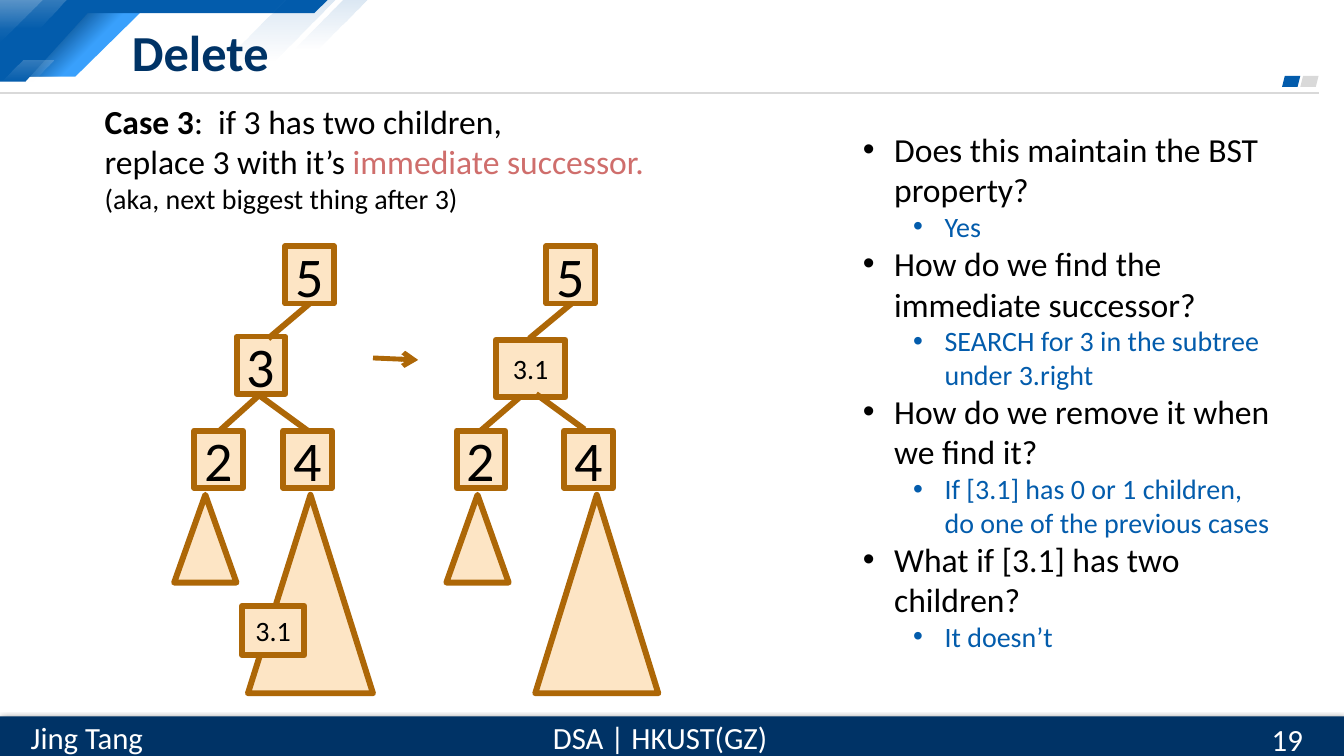
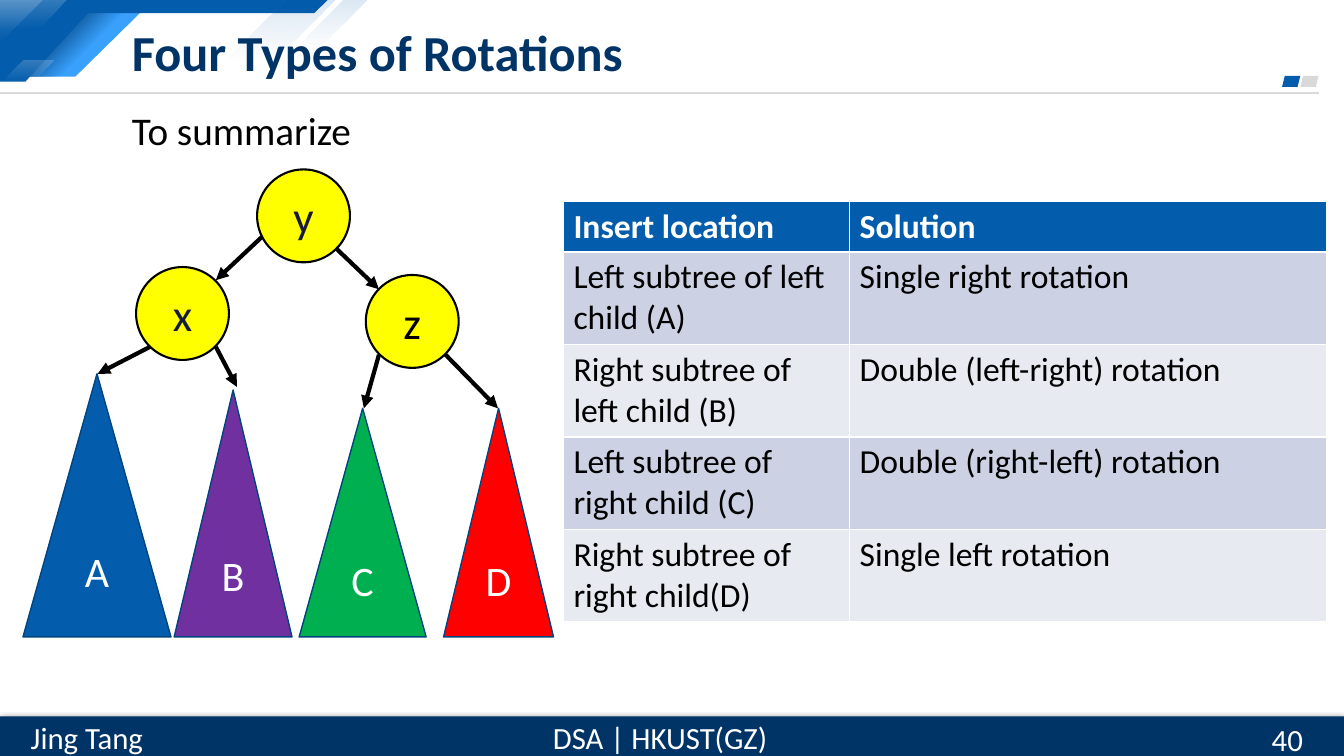
from lxml.etree import SubElement
from pptx import Presentation
from pptx.dml.color import RGBColor
from pptx.enum.shapes import MSO_CONNECTOR, MSO_SHAPE
from pptx.enum.text import MSO_ANCHOR, MSO_AUTO_SIZE, PP_ALIGN
from pptx.oxml.ns import qn
from pptx.util import Cm, Pt

FONT = "Calibri"
WHITE = RGBColor(0xFF, 0xFF, 0xFF)
BLACK = RGBColor(0x00, 0x00, 0x00)
NAVY = RGBColor(0x00, 0x33, 0x66)
BLUE = RGBColor(0x03, 0x5C, 0xAC)
DEEP_BLUE = RGBColor(0x02, 0x45, 0x81)
SKY = RGBColor(0x39, 0xA0, 0xFC)
GREY = RGBColor(0xD9, 0xD9, 0xD9)
ROSE = RGBColor(0xCF, 0x6E, 0x6C)
BROWN = RGBColor(0xAD, 0x67, 0x07)
PEACH = RGBColor(0xFD, 0xE5, 0xC5)
YELLOW = RGBColor(0xFF, 0xFF, 0x00)
INK = RGBColor(0x15, 0x19, 0x3C)
PURPLE = RGBColor(0x70, 0x30, 0xA0)
GREEN = RGBColor(0x00, 0xB0, 0x50)
RED = RGBColor(0xFF, 0x00, 0x00)
EDGE_BLUE = RGBColor(0x02, 0x44, 0x7F)
ROW_FILLS = (RGBColor(0xCC, 0xD2, 0xE3), RGBColor(0xE7, 0xEA, 0xF1))

SLIDE_W, SLIDE_H = 33.87, 19.05
NODE_W, NODE_H = 1.22, 1.45
SUBTREE_TOP = 12.47
CIRCLE = 2.34
BASELINE = 16.05


def set_font(target, size, color, bold=False):
    font = target.font
    font.name, font.size, font.bold = FONT, Pt(size), bold
    font.color.rgb = color


def add_shape(shapes, kind, box, fill, line=None, line_pt=1.0):
    sp = shapes.add_shape(kind, *map(Cm, box))
    paint(sp, fill, line, line_pt)
    return sp


def paint(sp, fill, line=None, line_pt=1.0):
    sp.shadow.inherit = False
    sp.fill.solid()
    sp.fill.fore_color.rgb = fill
    if line is None:
        sp.line.fill.background()
    else:
        sp.line.color.rgb = line
        sp.line.width = Pt(line_pt)


def set_label(sp, text, size, color):
    tf = sp.text_frame
    tf.vertical_anchor = MSO_ANCHOR.MIDDLE
    p = tf.paragraphs[0]
    p.text = text
    p.alignment = PP_ALIGN.CENTER
    set_font(p, size, color)


def add_polygon(shapes, points, fill):
    pts = [(Cm(x), Cm(y)) for x, y in points]
    builder = shapes.build_freeform(*pts[0], scale=1.0)
    builder.add_line_segments(pts[1:], close=True)
    sp = builder.convert_to_shape()
    paint(sp, fill)
    return sp


def fade(sp, color, alpha, angle=270, span=(0, 1)):
    """Fill with one colour that goes from alpha percent to clear."""
    sp.fill.gradient()
    sp.fill.gradient_angle = angle
    for stop, position in zip(sp.fill.gradient_stops, span):
        stop.color.rgb = color
        stop.position = position
    for clr, percent in zip(sp.element.xpath("./p:spPr//a:gs/a:srgbClr"), (alpha, 0)):
        SubElement(clr, qn("a:alpha"), val=str(percent * 1000))


def add_line(shapes, ends, color, width, head=None):
    x1, y1, x2, y2 = map(Cm, ends)
    line = shapes.add_connector(MSO_CONNECTOR.STRAIGHT, x1, y1, x2, y2)
    line.line.color.rgb = color
    line.line.width = Pt(width)
    if head:
        SubElement(line.element.xpath(".//a:ln")[0], qn("a:tailEnd"), type=head)
    SubElement(line.element.spPr, qn("a:effectLst"))


def add_text_box(shapes, box, anchor=MSO_ANCHOR.TOP):
    tf = shapes.add_textbox(*map(Cm, box)).text_frame
    tf.word_wrap = True
    tf.vertical_anchor = anchor
    return tf


def add_footer_text(shapes, box, text, align):
    p = add_text_box(shapes, box, MSO_ANCHOR.MIDDLE).paragraphs[0]
    p.text = text
    p.alignment = align
    set_font(p, 22, WHITE)


def set_bullet(p, char, left=0.0, hang=0.0):
    pPr = p._p.get_or_add_pPr()
    pPr.set("marL", str(Cm(left)))
    pPr.set("indent", str(Cm(-hang)))
    if char:
        SubElement(pPr, qn("a:buFont"), typeface="Arial")
        SubElement(pPr, qn("a:buChar"), char=char)
    else:
        SubElement(pPr, qn("a:buNone"))


def fill_body(slide, box, items):
    """Fill the body placeholder with (text, level, bullet, size, colour) items."""
    body = slide.placeholders[1]
    body.left, body.top, body.width, body.height = map(Cm, box)
    tf = body.text_frame
    tf.auto_size = MSO_AUTO_SIZE.NONE
    for i, (text, level, char, size, color) in enumerate(items):
        p = tf.add_paragraph() if i else tf.paragraphs[0]
        p.text = text
        p.level = level
        p.space_before = Pt(0)
        hang = 0.79 if char else 0
        set_bullet(p, char, hang + 1.27 * level, hang)
        set_font(p, size, color)


def draw_frame(shapes):
    add_polygon(shapes, [(2.13, 0.18), (3.68, 0.18), (1.9, 1.93), (0.41, 1.93)], SKY)
    shade = add_polygon(shapes, [(2.13, 0.18), (3.68, 0.18), (1.9, 1.93), (0.41, 1.93)], SKY)
    fade(shade, DEEP_BLUE, 100, 315, (0.29, 0.57))
    add_polygon(shapes, [(0, 0), (8.26, 0), (7.92, 0.33), (2.21, 0.33), (0.64, 2.06), (0, 2.06)], BLUE)
    glints = [
        (WHITE, 20, [(0, 0), (1.07, 0), (0, 1.07)]),
        (WHITE, 20, [(0, 0), (1.68, 0), (0.99, 0.71), (0, 0.71)]),
        (BLUE, 15, [(7.21, 0), (8.46, 0), (6.91, 1.55), (5.64, 1.55)]),
        (BLUE, 15, [(8.64, 0), (9.25, 0), (8, 1.24), (7.39, 1.24)]),
        (WHITE, 20, [(0.58, 1.52), (1.35, 1.52), (0.81, 2.06), (0.04, 2.06)]),
    ]
    for color, alpha, points in glints:
        fade(add_polygon(shapes, points, color), color, alpha)

    add_line(shapes, (0, 2.34, 33.25, 2.34), GREY, 1.5)
    for x, color in ((32.77, GREY), (32.31, BLUE)):
        add_shape(shapes, MSO_SHAPE.PARALLELOGRAM, (x, 1.91, 0.46, 0.28), color)

    band = add_shape(shapes, MSO_SHAPE.RECTANGLE, (0, 18.05, SLIDE_W, 1), NAVY)
    effects = band.element.spPr.find(qn("a:effectLst"))
    shadow = SubElement(effects, qn("a:outerShdw"), blurRad=str(Pt(4.5)), dist=str(Pt(1.5)), dir="5400000")
    clr = SubElement(shadow, qn("a:srgbClr"), val=str(BLACK))
    SubElement(clr, qn("a:alpha"), val="63000")
    add_footer_text(shapes, (13.61, 17.98, 6.05, 1.19), "DSA | HKUST(GZ)", PP_ALIGN.CENTER)
    add_footer_text(shapes, (0.41, 17.98, 3.56, 1.19), "Jing Tang", PP_ALIGN.CENTER)


def prepare_layout(prs):
    """Put the shared frame and the title's place on the layout.

    Layouts cannot be drawn on directly, so a first slide lends its shapes.
    """
    layout = prs.slide_layouts[1]
    for ph in list(layout.placeholders):
        if ph.placeholder_format.idx >= 10:
            layout.shapes.element.remove(ph.element)
    title = layout.placeholders[0]
    title.left, title.top, title.width, title.height = map(Cm, (3.07, 0.43, 25.93, 1.75))
    slide = prs.slides.add_slide(layout)
    draw_frame(slide.shapes)
    for sp in list(slide.shapes):
        if not sp.is_placeholder:
            layout.shapes.element.append(sp.element)
    return layout, slide


def set_heading(slide, title, number):
    tf = slide.shapes.title.text_frame
    tf.auto_size = MSO_AUTO_SIZE.NONE
    tf.vertical_anchor = MSO_ANCHOR.MIDDLE
    p = tf.paragraphs[0]
    p.text = title
    p.alignment = PP_ALIGN.LEFT
    set_font(p, 36, NAVY, True)
    add_footer_text(slide.shapes, (31.8, 18.11, 2.06, 1.02), number, PP_ALIGN.LEFT)


def add_node(shapes, x, y, text, w=NODE_W, h=NODE_H):
    sp = add_shape(shapes, MSO_SHAPE.RECTANGLE, (x, y, w, h), PEACH, BROWN, 4.25)
    set_label(sp, text, 20 if len(text) > 1 else 40, BLACK)


def build_delete(slide):
    set_heading(slide, "Delete", "19")
    shapes = slide.shapes

    for node in ((7.14, 10.85, "4"), (4.9, 10.85, "2"), (5.97, 8.48, "3"), (7.19, 6.2, "5"),
                 (12.5, 8.56, "3.1", 1.75), (11.51, 10.85, "2"), (13.77, 6.2, "5"),
                 (14.22, 10.85, "4")):
        add_node(shapes, *node)
    for ends in ((7.8, 7.65, 6.76, 8.53), (6.55, 9.94, 5.54, 10.85), (6.53, 9.96, 7.75, 10.85),
                 (14.4, 7.65, 13.34, 8.53), (13.13, 9.98, 12.12, 10.85), (13.51, 9.93, 14.73, 10.82)):
        add_line(shapes, ends, BROWN, 4.25)
    for x, w, h in ((4.39, 1.57, 2.21), (6.25, 3.15, 5), (11.25, 1.57, 2.21), (13.49, 3.1, 5)):
        add_shape(shapes, MSO_SHAPE.ISOSCELES_TRIANGLE, (x, SUBTREE_TOP, w, h), PEACH, BROWN, 4.25)
    add_node(shapes, 6.1, 15.27, "3.1", 1.57, 1.24)
    add_line(shapes, (9.4, 9.02, 10.54, 9.07), BROWN, 3.5, "arrow")

    tf = add_text_box(shapes, (2.39, 2.41, 14.43, 3.18))
    lines = [
        (24, [("Case 3", BLACK, True), (":  if 3 has two children,", BLACK, False)]),
        (24, [("replace 3 with it’s ", BLACK, False), ("immediate successor.", ROSE, False)]),
        (20, [("(aka, next biggest thing after 3)", BLACK, False)]),
    ]
    for i, (size, runs) in enumerate(lines):
        p = tf.add_paragraph() if i else tf.paragraphs[0]
        for text, color, bold in runs:
            r = p.add_run()
            r.text = text
            set_font(r, size, color, bold)

    questions = [
        ("Does this maintain the BST property?", "Yes"),
        ("How do we find the immediate successor?", "SEARCH for 3 in the subtree under 3.right"),
        ("How do we remove it when we find it?",
         "If [3.1] has 0 or 1 children, do one of the previous cases"),
        ("What if [3.1] has two children?", "It doesn’t"),
    ]
    items = []
    for question, answer in questions:
        items += [(question, 0, "•", 24, BLACK), (answer, 1, "•", 20, BLUE)]
    fill_body(slide, (21.49, 3.12, 10.95, 13.59), items)


def add_solution_table(shapes):
    rows = [
        ("Insert location", "Solution"),
        ("Left subtree of left child (A)", "Single right rotation"),
        ("Right subtree of left child (B)", "Double (left-right) rotation"),
        ("Left subtree of right child (C)", "Double (right-left) rotation"),
        ("Right subtree of right child(D)", "Single left rotation"),
    ]
    widths, head_h, row_h = (7.21, 12.01), 1.27, 2.33
    table = shapes.add_table(len(rows), 2, Cm(14.2), Cm(5.08), Cm(sum(widths)),
                             Cm(head_h + 4 * row_h)).table
    for col, w in zip(table.columns, widths):
        col.width = Cm(w)
    for i, texts in enumerate(rows):
        header = i == 0
        table.rows[i].height = Cm(head_h if header else row_h)
        for j, text in enumerate(texts):
            cell = table.cell(i, j)
            cell.fill.solid()
            cell.fill.fore_color.rgb = BLUE if header else ROW_FILLS[(i - 1) % 2]
            p = cell.text_frame.paragraphs[0]
            p.text = text
            set_font(p, 24, WHITE if header else BLACK, header)


def build_rotations(slide):
    set_heading(slide, "Four Types of Rotations", "40")
    shapes = slide.shapes
    fill_body(slide, (3.07, 2.54, 17.48, 1.45), [("To summarize", 0, None, 28, BLACK)])
    add_solution_table(shapes)

    for x, y, text, color in ((3.43, 6.73, "x", INK), (6.48, 4.27, "y", INK), (9.22, 6.93, "z", BLACK)):
        sp = add_shape(shapes, MSO_SHAPE.OVAL, (x, y, CIRCLE, CIRCLE), YELLOW, BLACK, 1.5)
        set_label(sp, text, 32, color)
    for x, top, w, text, fill in ((0.58, 9.42, 3.73, "A", BLUE), (4.39, 9.83, 2.97, "B", PURPLE),
                                  (7.54, 10.29, 3.2, "C", GREEN), (11.18, 10.29, 2.77, "D", RED)):
        sp = add_shape(shapes, MSO_SHAPE.ISOSCELES_TRIANGLE, (x, top, w, BASELINE - top), fill, EDGE_BLUE)
        set_label(sp, text, 30, WHITE)
    for ends in ((6.6, 5.97, 5.44, 7.06), (8.46, 6.25, 9.55, 7.29), (3.78, 8.74, 2.46, 9.42),
                 (5.44, 8.74, 5.97, 9.75), (9.55, 8.94, 9.17, 10.29), (11.23, 8.94, 12.55, 10.29)):
        add_line(shapes, ends, BLACK, 3, "triangle")


def main():
    prs = Presentation()
    prs.slide_width, prs.slide_height = Cm(SLIDE_W), Cm(SLIDE_H)
    layout, first = prepare_layout(prs)
    build_delete(first)
    build_rotations(prs.slides.add_slide(layout))
    prs.save("out.pptx")


if __name__ == "__main__":
    main()
